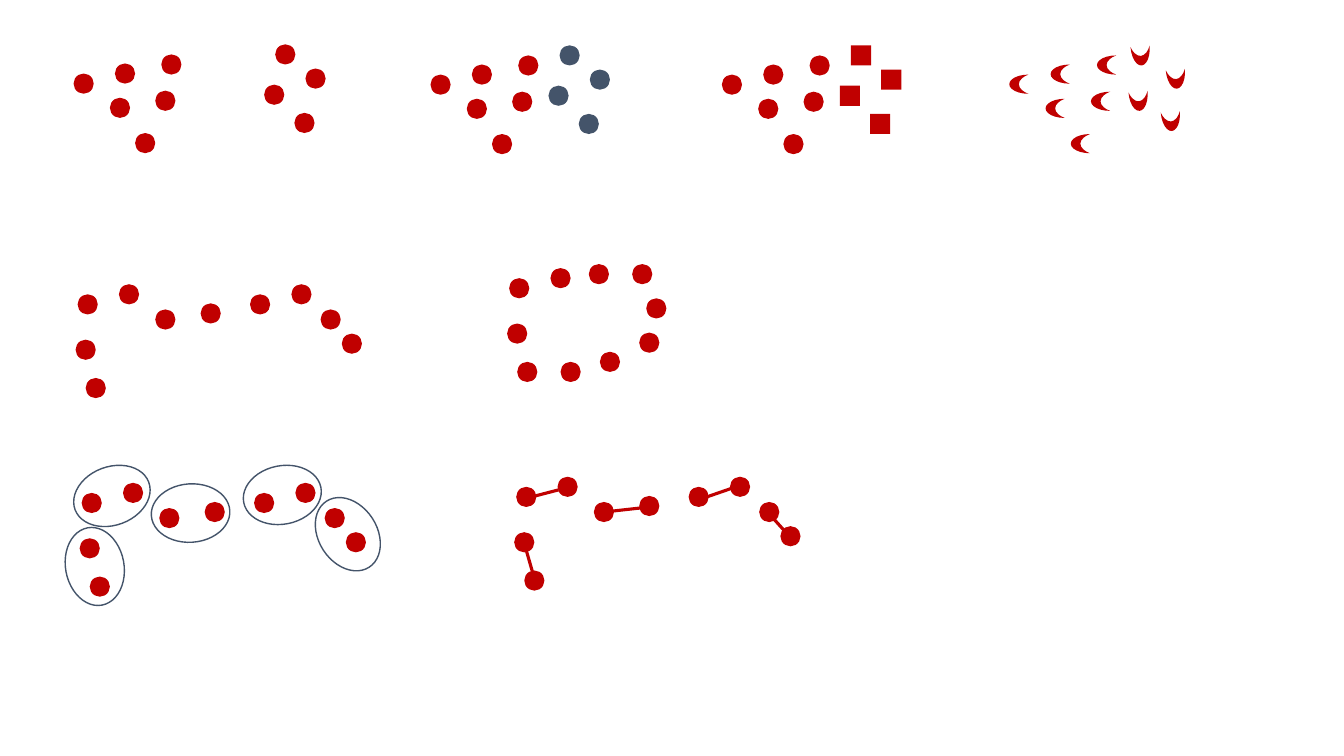
import dataclasses

import pptx
import pptx.dml.color
import pptx.enum.shapes
import pptx.oxml
import pptx.oxml.ns
import pptx.util

Inches = pptx.util.Inches
Kind = pptx.enum.shapes.MSO_SHAPE


@dataclasses.dataclass
class Theme:
    red: str = "C00000"
    slate: str = "44546A"
    dot: float = 0.2
    moon: float = 0.19
    ring_width: float = 0.58
    ring_height: float = 0.78
    ring_line: float = 1
    link_line: float = 2.25


class Page:
    """Holds the style and the slide; each figure is a group on the slide."""

    def __init__(self, deck, theme):
        self.theme = theme
        self.slide = deck.slides.add_slide(deck.slide_layouts[6])

    def figure(self):
        self.group = self.slide.shapes.add_group_shape()

    def shape(self, kind, left, top, width, height, rotation=0):
        shape = self.group.shapes.add_shape(
            kind, Inches(left), Inches(top), Inches(width), Inches(height))
        shape.shadow.inherit = False
        shape.rotation = rotation
        return shape

    def marks(self, origin, offsets, kind=Kind.OVAL, color=None, size=None, rotation=0):
        size = size or self.theme.dot
        for across, down in offsets:
            mark = self.shape(kind, origin[0] + across, origin[1] + down,
                              size, size, rotation)
            mark.fill.solid()
            mark.fill.fore_color.rgb = rgb(color or self.theme.red)
            mark.line.fill.background()

    def ring(self, left, top, rotation):
        ring = self.shape(Kind.OVAL, left, top, self.theme.ring_width,
                          self.theme.ring_height, rotation)
        ring.fill.background()
        ring.line.color.rgb = rgb(self.theme.slate)
        ring.line.width = pptx.util.Pt(self.theme.ring_line)

    def link(self, *ends):
        link = self.group.shapes.add_connector(
            pptx.enum.shapes.MSO_CONNECTOR.STRAIGHT, *map(Inches, ends))
        link.line.color.rgb = rgb(self.theme.red)
        link.line.width = pptx.util.Pt(self.theme.link_line)
        properties = link._element.spPr
        properties.append(pptx.oxml.parse_xml(
            f"<a:effectLst {pptx.oxml.ns.nsdecls('a')}/>"))


def rgb(color):
    return pptx.dml.color.RGBColor.from_string(color)


# Arrangements, as offsets from the first mark of each
LEFT_CLUSTER = [(0, 0), (0.41, -0.1), (0.36, 0.24), (0.61, 0.59), (0.81, 0.17), (0.87, -0.19)]
RIGHT_CLUSTER = [(0, 0), (-0.11, 0.4), (0.19, 0.68), (0.3, 0.24)]
RIGHT_MOONS = [(0, 0), (-0.02, 0.45), (0.3, 0.65), (0.35, 0.23)]
OPEN_CHAIN = [(0, 0), (0.41, -0.1), (-0.02, 0.45), (0.08, 0.83), (0.77, 0.15),
              (1.71, 0), (2.12, -0.1), (1.22, 0.09), (2.62, 0.39), (2.41, 0.15)]
CLOSED_CHAIN = [(0, 0), (0.41, -0.1), (-0.02, 0.45), (0.08, 0.83), (0.79, -0.14),
                (1.36, 0.2), (1.29, 0.54), (1.22, -0.14), (0.51, 0.83), (0.9, 0.73)]
RINGS = [(0.65, 5.23, 349.5), (0.82, 4.53, 69.5), (1.6, 4.7, 86.2),
         (2.51, 4.52, 78.9), (3.16, 4.91, 327.2)]
LINKS = [(5.28, 5.67, 5.22, 5.46), (5.31, 4.92, 5.54, 4.86), (6.08, 5.07, 6.35, 5.04),
         (7.01, 4.93, 7.27, 4.84), (7.82, 5.31, 7.64, 5.11)]

deck = pptx.Presentation()
deck.slide_width, deck.slide_height = Inches(13.33), Inches(7.5)
theme = Theme()
page = Page(deck, theme)

# Top row: grouping by proximity, color, shape and orientation
moon = {"kind": Kind.MOON, "size": theme.moon}
for left_origin, right_origin, right_offsets, left_style, right_style in [
    ((0.73, 0.73), (2.73, 0.44), RIGHT_CLUSTER, {}, {}),
    ((4.27, 0.74), (5.55, 0.45), RIGHT_CLUSTER, {}, {"color": theme.slate}),
    ((7.16, 0.74), (8.44, 0.45), RIGHT_CLUSTER, {}, {"kind": Kind.RECTANGLE}),
    ((10.01, 0.74), (11.22, 0.46), RIGHT_MOONS, moon, {**moon, "rotation": 265.4}),
]:
    page.figure()
    page.marks(left_origin, LEFT_CLUSTER, **left_style)
    page.marks(right_origin, right_offsets, **right_style)

# Middle row: continuity and closure
for origin, offsets in [((0.77, 2.92), OPEN_CHAIN), ((5.05, 2.76), CLOSED_CHAIN)]:
    page.figure()
    page.marks(origin, offsets)

# Bottom row: pairs enclosed by rings, then pairs joined by links
page.figure()
page.marks((0.81, 4.89), OPEN_CHAIN)
for ring in RINGS:
    page.ring(*ring)

page.figure()
page.marks((5.12, 4.83), OPEN_CHAIN)
for link in LINKS:
    page.link(*link)

deck.save("out.pptx")
